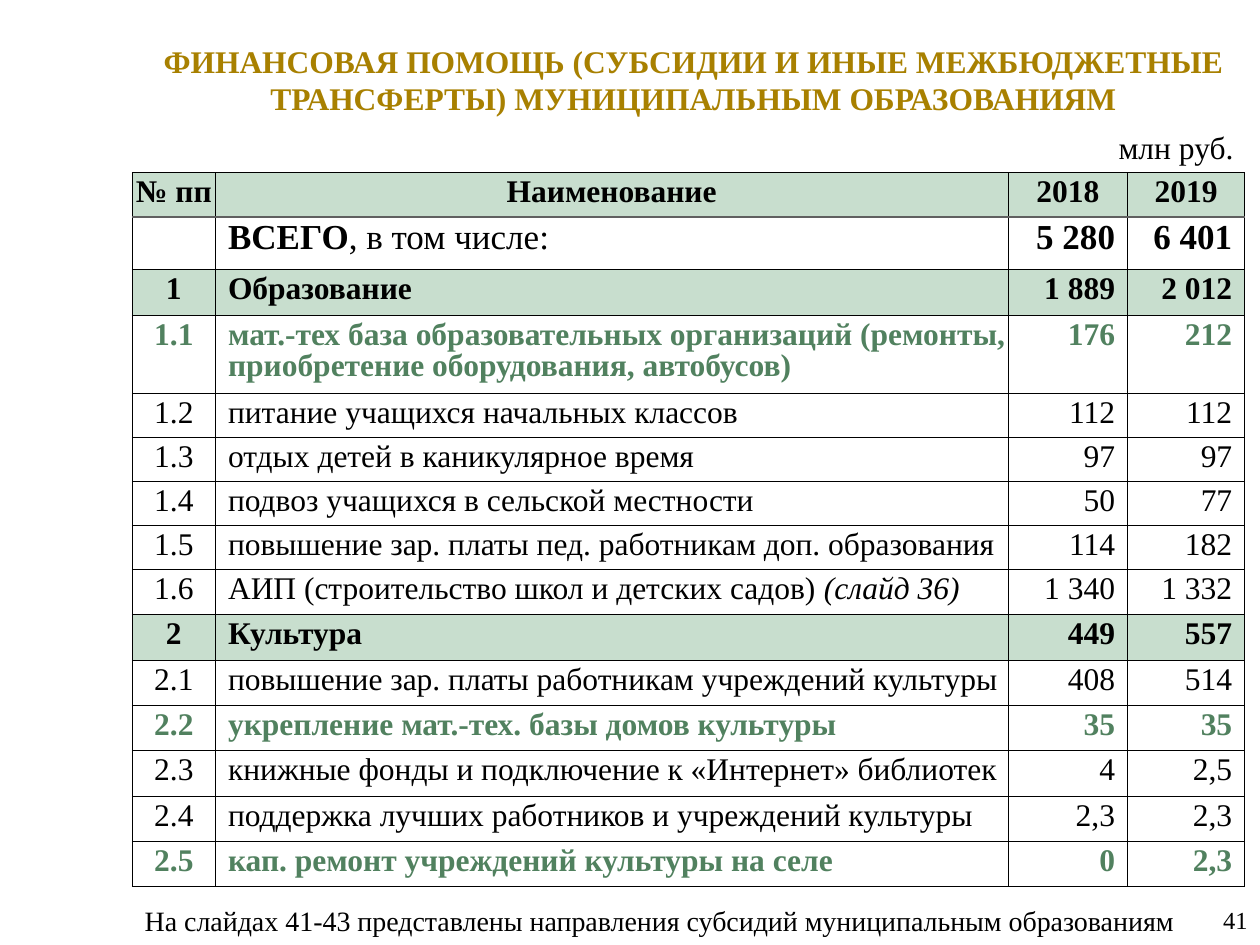
from dataclasses import dataclass

from lxml import etree
from pptx import Presentation
from pptx.dml.color import RGBColor
from pptx.enum import text as t
from pptx.oxml import ns
from pptx.util import Inches, Pt


@dataclass(frozen=True)
class Theme:
    """Colours, type sizes and font of the slide."""
    font: str = "Times New Roman"
    gold: str = "A88000"
    ink: str = "000000"
    accent: str = "51815F"
    band: str = "C8DECE"
    rule: str = "606060"
    total: int = 20
    body: int = 18
    note: int = 16
    number: int = 14


THEME = Theme()
LEFT, CENTER, RIGHT = t.PP_ALIGN.LEFT, t.PP_ALIGN.CENTER, t.PP_ALIGN.RIGHT
COLUMNS = (0.66, 6.29, 0.95, 0.93)
ALIGNS = (CENTER, LEFT, RIGHT, RIGHT)
HEADER = ("№ пп", "Наименование", "2018", "2019")
BOLD, ITALIC = {"bold": True}, {"italic": True}
SECTION = {"bold": True, "fill": THEME.band}
ACCENT = {"bold": True, "color": THEME.accent}
ROWS = [
    (0.42, {"size": THEME.total},
     ("", [("ВСЕГО", BOLD), (", в том числе:", {})], [("5 280", BOLD)], [("6 401", BOLD)])),
    (0.36, SECTION, ("1", "Образование", "1 889", "2 012")),
    (0.62, ACCENT, ("1.1", "мат.-тех база образовательных организаций (ремонты, "
                    "приобретение оборудования, автобусов)", "176", "212")),
    (0.35, {}, ("1.2", "питание учащихся начальных классов", "112", "112")),
    (0.35, {}, ("1.3", "отдых детей в каникулярное время", "97", "97")),
    (0.35, {}, ("1.4", "подвоз учащихся в сельской местности", "50", "77")),
    (0.35, {}, ("1.5", "повышение зар. платы пед. работникам доп. образования", "114", "182")),
    (0.36, {}, ("1.6", [("АИП (строительство школ и детских садов) ", {}),
                        ("(слайд 36)", ITALIC)], "1 340", "1 332")),
    (0.36, SECTION, ("2", "Культура", "449", "557")),
    (0.36, {}, ("2.1", "повышение зар. платы работникам учреждений культуры", "408", "514")),
    (0.36, ACCENT, ("2.2", "укрепление мат.-тех. базы домов культуры", "35", "35")),
    (0.36, {}, ("2.3", "книжные фонды и подключение к «Интернет» библиотек", "4", "2,5")),
    (0.36, {}, ("2.4", "поддержка лучших работников и учреждений культуры", "2,3", "2,3")),
    (0.36, ACCENT, ("2.5", "кап. ремонт учреждений культуры на селе", "0", "2,3")),
]


def write(frame, content, align=LEFT, spacing=None, **look):
    """Write a string, or a list of (text, format) spans, as one paragraph."""
    para = frame.paragraphs[0]
    para.alignment = align
    para.line_spacing = spacing
    spans = [(content, {})] if isinstance(content, str) else content
    for words, extra in spans:
        style = {"size": THEME.body, "color": THEME.ink, "bold": False, "italic": False,
                 **look, **extra}
        span = para.add_run()
        span.text = words
        span.font.name = THEME.font
        span.font.size = Pt(style["size"])
        span.font.bold = style["bold"]
        span.font.italic = style["italic"]
        span.font.color.rgb = RGBColor.from_string(style["color"])


def add_title(page, box, content):
    """Place and format the title placeholder."""
    title = page.shapes.title
    title.left, title.top, title.width, title.height = map(Inches, box)
    title.text_frame.word_wrap = True
    title.text_frame.vertical_anchor = t.MSO_ANCHOR.MIDDLE
    write(title.text_frame, content, CENTER, color=THEME.gold, bold=True)


def add_label(page, box, content, anchor=t.MSO_ANCHOR.TOP, **look):
    """Add a text box with one line of text."""
    frame = page.shapes.add_textbox(*map(Inches, box)).text_frame
    frame.word_wrap = True
    frame.vertical_anchor = anchor
    write(frame, content, **look)


def set_borders(cell, **sides):
    """Draw cell borders from (colour, points) pairs keyed L, R, T and B."""
    props = cell._tc.get_or_add_tcPr()
    for index, side in enumerate("LRTB"):
        color, points = sides.get(side, (THEME.ink, 0.5))
        line = etree.Element(ns.qn(f"a:ln{side}"), w=str(Pt(points)))
        fill = etree.SubElement(line, ns.qn("a:solidFill"))
        etree.SubElement(fill, ns.qn("a:srgbClr"), val=color)
        props.insert(index, line)


def fill_cell(cell, content, align, insets, fill=None, borders=None, **look):
    """Fill in one cell with its text, margins, background and borders."""
    cell.margin_left, cell.margin_right = map(Inches, insets)
    cell.margin_top = cell.margin_bottom = Inches(0.04)
    if fill:
        cell.fill.solid()
        cell.fill.fore_color.rgb = RGBColor.from_string(fill)
    else:
        cell.fill.background()
    set_borders(cell, **(borders or {}))
    if content:
        write(cell.text_frame, content, align, 0.9, **look)


def add_aid_table(page, box):
    """Add the table of transfers by purpose and year."""
    table = page.shapes.add_table(len(ROWS) + 1, len(COLUMNS), *map(Inches, box)).table
    table.horz_banding = False
    for column, width in zip(table.columns, COLUMNS):
        column.width = Inches(width)
    heavy = (THEME.rule, 1.5)
    table.rows[0].height = Inches(0.35)
    for col, label in enumerate(HEADER):
        fill_cell(table.cell(0, col), label, CENTER, (0.01, 0.01),
                  borders={"B": heavy}, **SECTION)
    for row, (height, look, values) in enumerate(ROWS, 1):
        table.rows[row].height = Inches(height)
        borders = {"T": heavy} if row == 1 else {}
        for col, (value, align) in enumerate(zip(values, ALIGNS)):
            insets = (0.1, 0 if col == 1 else 0.1)
            fill_cell(table.cell(row, col), value, align, insets, borders=borders, **look)


def main():
    """Build the slide and save the deck."""
    deck = Presentation()
    deck.slide_width, deck.slide_height = Inches(10), Inches(7.5)
    page = deck.slides.add_slide(deck.slide_layouts[5])
    add_title(page, (1.13, 0.1, 8.75, 1.06),
              "ФИНАНСОВАЯ ПОМОЩЬ (СУБСИДИИ И ИНЫЕ МЕЖБЮДЖЕТНЫЕ ТРАНСФЕРТЫ) "
              "МУНИЦИПАЛЬНЫМ ОБРАЗОВАНИЯМ")
    add_label(page, (8.78, 0.97, 1.17, 0.4), "млн руб.")
    add_label(page, (7.75, 7.1, 2.25, 0.4), "41", t.MSO_ANCHOR.MIDDLE,
              align=RIGHT, size=THEME.number)
    add_label(page, (1.05, 7.12, 8.47, 0.37),
              "На слайдах 41-43 представлены направления субсидий муниципальным образованиям",
              size=THEME.note)
    add_aid_table(page, (1.05, 1.37, 8.83, 5.65))
    deck.save("out.pptx")


if __name__ == "__main__":
    main()
